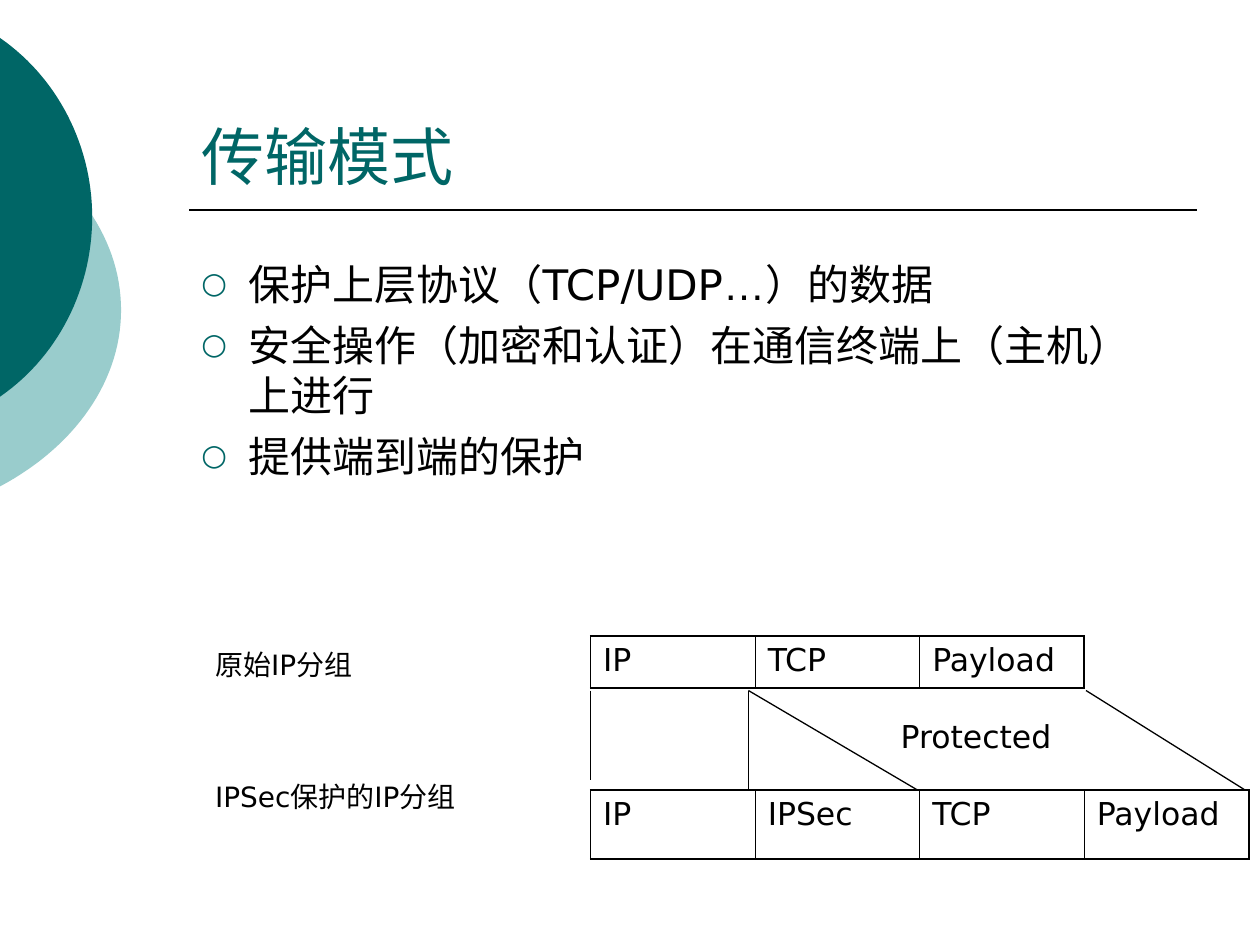
from pptx import Presentation
from pptx.dml.color import RGBColor
from pptx.enum.shapes import MSO_CONNECTOR
from pptx.enum.text import MSO_ANCHOR, MSO_AUTO_SIZE
from pptx.oxml.ns import qn
from pptx.util import Pt
from lxml import etree

LINE = MSO_CONNECTOR.STRAIGHT
TOP, BOTTOM = MSO_ANCHOR.TOP, MSO_ANCHOR.BOTTOM
FIT = MSO_AUTO_SIZE.SHAPE_TO_FIT_TEXT
TEAL, PALE, BLACK = "006666", "99CCCC", "000000"
SANS, ARIAL = "DejaVu Sans", "Arial"

# Content: each paragraph is a list of (text, font) runs
TITLE = [[("传输模式", ARIAL)]]
BULLETS = [
    [("保护上层协议（TCP/UDP", SANS), ("…", ARIAL), ("）的数据", SANS)],
    [("安全操作（加密和认证）在通信终端上（主机）上进行", SANS)],
    [("提供端到端的保护", SANS)],
]
# text, left, top, width, height, size
LABELS = [
    ("原始IP分组", 115.9, 366.5, 102.2, 26.6, 16),
    ("IPSec保护的IP分组", 115.9, 442.1, 158.4, 46.1, 16),
    ("Protected", 507.6, 406.1, 124.6, 28.8, 18),
]
# cells, top, row height
PACKETS = [
    (["IP", "TCP", "Payload"], 363.4, 29.7),
    (["IP", "IPSec", "TCP", "Payload"], 451.4, 39.6),
]
PACKET_LEFT, CELL_WIDTH = 337.5, 94.05
# Mapping lines from the upper packet to the lower: x1, x2, y2
MAP_TOP = 394.6
MAPPINGS = [(337.5, 337.5, 445.7), (427.7, 427.7, 451.4),
            (427.7, 524.2, 451.4), (620.6, 711.4, 451.4)]
# Arcs bulging from the left edge: colour, two joined Bezier curves
ARCS = [
    (PALE, [(0, 76.5), (43.2, 99.5), (69.2, 136.8), (69.2, 177.2),
            (69.2, 217.5), (43.2, 255), (0, 278)]),
    (TEAL, [(0, 21.7), (33.2, 44.7), (52.7, 83.5), (52.7, 124),
            (52.7, 165), (33.2, 203.8), (0, 226.7)]),
]
STEPS = 30


def rgb(value):
    return RGBColor.from_string(value)


def bezier(points, t):
    weights = ((1 - t) ** 3, 3 * t * (1 - t) ** 2, 3 * t * t * (1 - t), t ** 3)
    return tuple(Pt(sum(w * p[i] for w, p in zip(weights, points)))
                 for i in (0, 1))


def add_arc(s, color, points):
    outline = [bezier(points[k:k + 4], n / STEPS)
               for k in (0, 3) for n in range(STEPS + 1)]
    builder = s.shapes.build_freeform(*outline[0], scale=1.0)
    builder.add_line_segments(outline[1:], close=True)
    sp = builder.convert_to_shape()
    sp.shadow.inherit = False
    sp.fill.solid()
    sp.fill.fore_color.rgb = rgb(color)
    sp.line.fill.background()


def add_line(s, x1, y1, x2, y2, width):
    line = s.shapes.add_connector(LINE, Pt(x1), Pt(y1), Pt(x2), Pt(y2))
    line.line.color.rgb = rgb(BLACK)
    line.line.width = Pt(width)
    etree.SubElement(line._element.spPr, qn("a:effectLst"))


def style(r, font, size, color):
    r.font.name, r.font.size = font, Pt(size)
    r.font.color.rgb = rgb(color)


def add_text(s, paragraphs, left, top, width, height, size, color=BLACK,
             anchor=TOP):
    tf = s.shapes.add_textbox(Pt(left), Pt(top), Pt(width),
                              Pt(height)).text_frame
    tf.word_wrap = True
    tf.vertical_anchor = anchor
    for i, runs in enumerate(paragraphs):
        p = tf.add_paragraph() if i else tf.paragraphs[0]
        for text, font in runs:
            r = p.add_run()
            r.text = text
            style(r, font, size, color)
    return tf


def add_bullet(p):
    p.space_before = Pt(6)
    pPr = p._p.get_or_add_pPr()
    pPr.set("marL", str(Pt(27)))
    pPr.set("indent", str(-Pt(27)))
    color = etree.SubElement(pPr, qn("a:buClr"))
    etree.SubElement(color, qn("a:srgbClr"), val=TEAL)
    etree.SubElement(pPr, qn("a:buSzPct"), val="70000")
    etree.SubElement(pPr, qn("a:buFont"), typeface=SANS)
    etree.SubElement(pPr, qn("a:buChar"), char="○")


def set_borders(cell, first, last):
    tcPr = cell._tc.get_or_add_tcPr()
    widths = {"lnL": 1.08 if first else 0.45, "lnR": 1.08 if last else 0.45,
              "lnT": 1.08, "lnB": 1.08}
    for i, (side, width) in enumerate(widths.items()):
        ln = etree.Element(qn("a:" + side), w=str(Pt(width)))
        fill = etree.SubElement(ln, qn("a:solidFill"))
        etree.SubElement(fill, qn("a:srgbClr"), val=BLACK)
        tcPr.insert(i, ln)


def add_packet(s, cells, top, height):
    count = len(cells)
    table = s.shapes.add_table(1, count, Pt(PACKET_LEFT), Pt(top),
                               Pt(CELL_WIDTH * count), Pt(height)).table
    table.first_row = table.horz_banding = False
    for i, text in enumerate(cells):
        table.columns[i].width = Pt(CELL_WIDTH)
        cell = table.cell(0, i)
        cell.fill.background()
        cell.text_frame.text = text
        style(cell.text_frame.paragraphs[0].runs[0], SANS, 18, BLACK)
        set_borders(cell, i == 0, i == count - 1)


def main():
    prs = Presentation()
    prs.slide_width, prs.slide_height = Pt(720), Pt(540)
    s = prs.slides.add_slide(prs.slide_layouts[6])

    # Decoration and title rule
    for color, points in ARCS:
        add_arc(s, color, points)
    add_line(s, 108, 120, 684, 120, 1)

    # Title and bullets
    add_text(s, TITLE, 108, 24, 576, 90, 36, TEAL, BOTTOM)
    body = add_text(s, BULLETS, 108, 144, 564, 149, 24)
    for p in body.paragraphs:
        add_bullet(p)

    # Packet diagram
    for packet in PACKETS:
        add_packet(s, *packet)
    for x1, x2, y2 in MAPPINGS:
        add_line(s, x1, MAP_TOP, x2, y2, 0.75)
    for text, *place in LABELS:
        add_text(s, [[(text, SANS)]], *place).auto_size = FIT

    prs.save("out.pptx")


if __name__ == "__main__":
    main()
